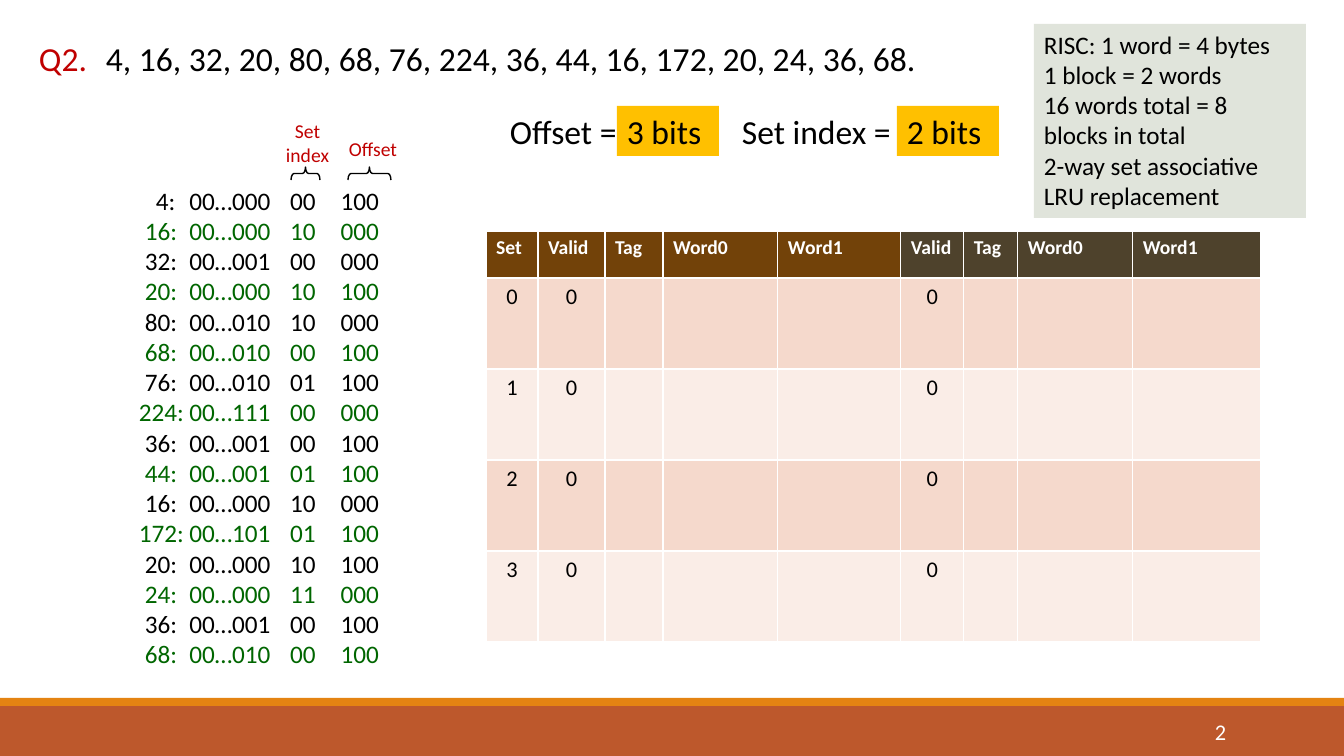
from dataclasses import dataclass

from lxml import etree
from pptx import Presentation
from pptx.dml.color import RGBColor
from pptx.enum.shapes import MSO_SHAPE
from pptx.enum.text import MSO_ANCHOR, PP_ALIGN
from pptx.oxml.ns import qn
from pptx.util import Pt

RECT, BRACE = MSO_SHAPE.RECTANGLE, MSO_SHAPE.RIGHT_BRACE
LEFT, CENTER, RIGHT = PP_ALIGN.LEFT, PP_ALIGN.CENTER, PP_ALIGN.RIGHT
TOP, MIDDLE = MSO_ANCHOR.TOP, MSO_ANCHOR.MIDDLE


@dataclass(frozen=True)
class Theme:
    font: str = "Calibri"
    black: str = "000000"
    white: str = "FFFFFF"
    red: str = "C00000"
    green: str = "006600"
    answer: str = "FFC000"
    note: str = "E0E4DB"
    footer: str = "BD582C"
    footer_edge: str = "E48312"
    way0: str = "724209"
    way1: str = "4E422C"
    band_dark: str = "F5D9CC"
    band_light: str = "FAEDE7"
    title: int = 24
    body: int = 18
    cell: int = 16
    small: int = 14


T = Theme()

REFERENCES = "4, 16, 32, 20, 80, 68, 76, 224, 36, 44, 16, 172, 20, 24, 36, 68."
NOTES = [
    "RISC: 1 word = 4 bytes",
    "1 block = 2 words",
    "16 words total = 8 blocks in total",
    "2-way set associative",
    "LRU replacement",
]
ADDRESSES = [  # address, tag, set index, offset
    (4, "00…000", "00", "100"),
    (16, "00…000", "10", "000"),
    (32, "00…001", "00", "000"),
    (20, "00…000", "10", "100"),
    (80, "00…010", "10", "000"),
    (68, "00…010", "00", "100"),
    (76, "00…010", "01", "100"),
    (224, "00…111", "00", "000"),
    (36, "00…001", "00", "100"),
    (44, "00…001", "01", "100"),
    (16, "00…000", "10", "000"),
    (172, "00…101", "01", "100"),
    (20, "00…000", "10", "100"),
    (24, "00…000", "11", "000"),
    (36, "00…001", "00", "100"),
    (68, "00…010", "00", "100"),
]
WAY = ["Valid", "Tag", "Word0", "Word1"]
SETS = 4
CACHE = [["Set"] + WAY * 2]
CACHE += [[str(i)] + ["0", "", "", ""] * 2 for i in range(SETS)]

# Lengths in px
SLIDE = (1344, 756)
COLUMNS = [52, 67, 58, 115, 123, 63, 54, 115, 128]
ROWS = [47] + [91] * SETS
TABS = [50, 157, 215]
DIGIT_INDENT = {1: 17, 2: 6, 3: 0}
BRACES = [(299, 159, 13, 29), (363, 152, 13, 43)]


def px(n):
    return round(n * 914400 / 100.8)


def rgb(color):
    return RGBColor.from_string(color)


def style(p, size, color, align=LEFT, bold=False):
    p.alignment = align
    for r in p.runs:
        r.font.name, r.font.size, r.font.bold = T.font, Pt(size), bold
        r.font.color.rgb = rgb(color)


def add_box(s, at, lines=(), size=T.title, color=T.black, fill=None,
            align=LEFT, anchor=TOP, wrap=True):
    """Text box, or a rectangle when a fill is given."""
    at = [px(n) for n in at]
    if fill:
        sp = s.shapes.add_shape(RECT, *at)
        sp.shadow.inherit = False
        sp.fill.solid()
        sp.fill.fore_color.rgb = rgb(fill)
        sp.line.fill.background()
    else:
        sp = s.shapes.add_textbox(*at)
    tf = sp.text_frame
    tf.word_wrap, tf.vertical_anchor = wrap, anchor
    tf.text = "\n".join(lines)
    for p in tf.paragraphs:
        style(p, size, color, align)
    return sp


def add_brace(s, at):
    sp = s.shapes.add_shape(BRACE, *[px(n) for n in at])
    sp.shadow.inherit = False
    sp.rotation = 270
    sp.adjustments[0] = 0.23
    sp.fill.background()
    sp.line.color.rgb, sp.line.width = rgb(T.black), Pt(1)


def add_addresses(s):
    lines = ["\t".join((f"{n}:", *bits)) for n, *bits in ADDRESSES]
    sp = add_box(s, (129, 180, 306, 499), lines, T.body)
    for i, p in enumerate(sp.text_frame.paragraphs):
        pPr = p._p.get_or_add_pPr()
        pPr.set("marL", "0")
        pPr.set("indent", str(px(DIGIT_INDENT[len(str(ADDRESSES[i][0]))])))
        tabs = etree.SubElement(pPr, qn("a:tabLst"))
        for pos in TABS:
            etree.SubElement(tabs, qn("a:tab"), pos=str(px(pos)), algn="l")
        style(p, T.body, T.green if i % 2 else T.black)


def add_cache(s):
    at = (486, 231, sum(COLUMNS), sum(ROWS))
    table = s.shapes.add_table(len(ROWS), len(COLUMNS), *[px(n) for n in at]).table
    for col, width in zip(table.columns, COLUMNS):
        col.width = px(width)
    for row, height in zip(table.rows, ROWS):
        row.height = px(height)
    for i, values in enumerate(CACHE):
        for j, value in enumerate(values):
            cell = table.cell(i, j)
            cell.text = value
            p = cell.text_frame.paragraphs[0]
            if i == 0:
                fill = T.way0 if j <= len(WAY) else T.way1
                style(p, T.small, T.white, bold=True)
            else:
                fill = T.band_dark if i % 2 else T.band_light
                style(p, T.cell, T.black, CENTER)
            cell.fill.solid()
            cell.fill.fore_color.rgb = rgb(fill)


def main():
    prs = Presentation()
    prs.slide_width, prs.slide_height = [px(n) for n in SLIDE]
    s = prs.slides.add_slide(prs.slide_layouts[6])

    add_box(s, (0, 706, 1344, 50), fill=T.footer)
    add_box(s, (0, 698, 1344, 8), fill=T.footer_edge)
    add_box(s, (1092, 712, 144, 40), ["2"], T.cell, T.white, align=RIGHT, anchor=MIDDLE)

    add_box(s, (13, 33, 100, 50), ["Q2."], color=T.red, align=CENTER)
    add_box(s, (96, 33, 911, 50), [REFERENCES])
    add_box(s, (1034, 24, 272, 194), NOTES, T.body, fill=T.note)

    add_box(s, (500, 106, 168, 50), ["Offset ="])
    add_box(s, (732, 106, 208, 50), ["Set index ="])
    add_box(s, (617, 106, 102, 50), ["3 bits"], fill=T.answer)
    add_box(s, (897, 106, 102, 50), ["2 bits"], fill=T.answer)

    add_box(s, (267, 114, 81, 57), ["Set index"], T.small, T.red, align=CENTER)
    add_box(s, (338, 132, 70, 34), ["Offset"], T.small, T.red, align=CENTER, wrap=False)
    for at in BRACES:
        add_brace(s, at)
    add_addresses(s)
    add_cache(s)
    prs.save("out.pptx")


if __name__ == "__main__":
    main()
